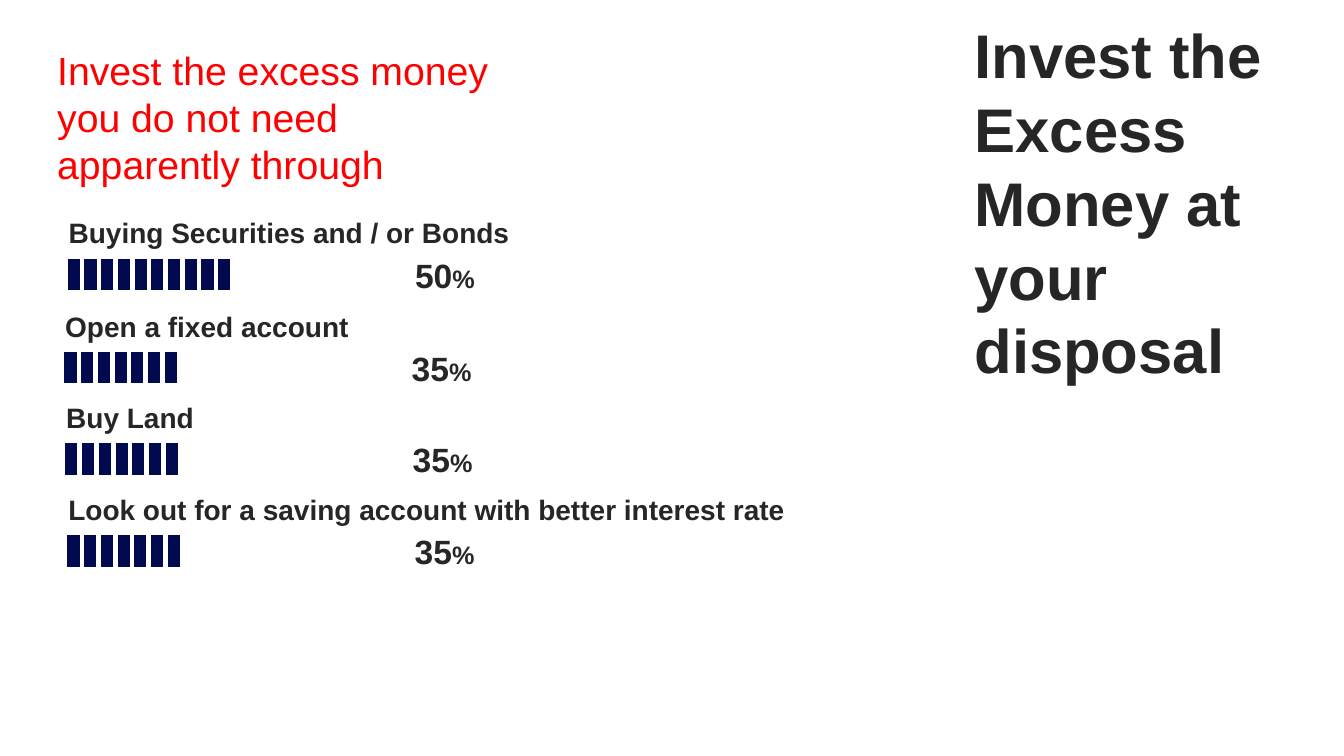
from pptx import Presentation
from pptx.dml.color import RGBColor
from pptx.enum.shapes import MSO_SHAPE
from pptx.enum.text import MSO_ANCHOR, MSO_AUTO_SIZE
from pptx.util import Pt

# Content
TITLE = "Invest the Excess Money at your disposal"
INTRO = "Invest the excess money you do not need apparently through"
# option, percent, left, top, label width
OPTIONS = [
    ("Buying Securities and / or Bonds", 50, 41.9, 150.5, 337.7),
    ("Open a fixed account", 35, 39.5, 217.2, 218.9),
    ("Buy Land", 35, 40.2, 282.3, 112.3),
    ("Look out for a saving account with better interest rate", 35, 41.7, 348.3, 539.3),
]

# Style
FONT = "Arial"
INK, RED, NAVY, WHITE = "262626", "FF0000", "010A4F", "FFFFFF"
SEGMENTS = 20
SEGMENT_PITCH, SEGMENT_WIDTH, SEGMENT_HEIGHT = 11.94, 8.64, 22.5
METER_DX, METER_DY = 6.5, 34.2
PERCENT_DX, PERCENT_DY = 247.5, 27.7


def colour(hex_value):
    return RGBColor.from_string(hex_value)


def add_text(slide, box, parts, ink=INK, bold=True, wrap=True):
    """Write one paragraph made of (text, size) parts."""
    frame = slide.shapes.add_textbox(*map(Pt, box)).text_frame
    frame.word_wrap = wrap
    frame.auto_size = MSO_AUTO_SIZE.SHAPE_TO_FIT_TEXT
    frame.vertical_anchor = MSO_ANCHOR.MIDDLE
    for text, size in parts:
        run = frame.paragraphs[0].add_run()
        run.text = text
        run.font.name, run.font.size, run.font.bold = FONT, Pt(size), bold
        run.font.color.rgb = colour(ink)


def add_meter(slide, left, top, percent):
    filled = percent * SEGMENTS // 100
    for index in range(SEGMENTS):
        segment = slide.shapes.add_shape(
            MSO_SHAPE.FLOWCHART_PROCESS, Pt(left + index * SEGMENT_PITCH), Pt(top),
            Pt(SEGMENT_WIDTH), Pt(SEGMENT_HEIGHT))
        segment.shadow.inherit = False
        segment.fill.solid()
        segment.fill.fore_color.rgb = colour(NAVY if index < filled else WHITE)
        segment.line.fill.background()


def main():
    deck = Presentation()
    deck.slide_width, deck.slide_height = Pt(960), Pt(540)
    slide = deck.slides.add_slide(deck.slide_layouts[6])

    # Heading texts
    add_text(slide, (33.8, 28.8, 335.5, 108.7), [(INTRO, 28)], RED, bold=False)
    add_text(slide, (689, 7.2, 270, 273.6), [(TITLE, 44)])

    # One label, meter and percentage per option
    for option, percent, left, top, width in OPTIONS:
        add_text(slide, (left, top, width, 31.5), [(option, 20)], wrap=False)
        add_meter(slide, left + METER_DX, top + METER_DY, percent)
        add_text(slide, (left + PERCENT_DX, top + PERCENT_DY, 57.6, 36),
                 [(str(percent), 24), ("%", 18)], wrap=False)

    deck.save("out.pptx")


if __name__ == "__main__":
    main()
